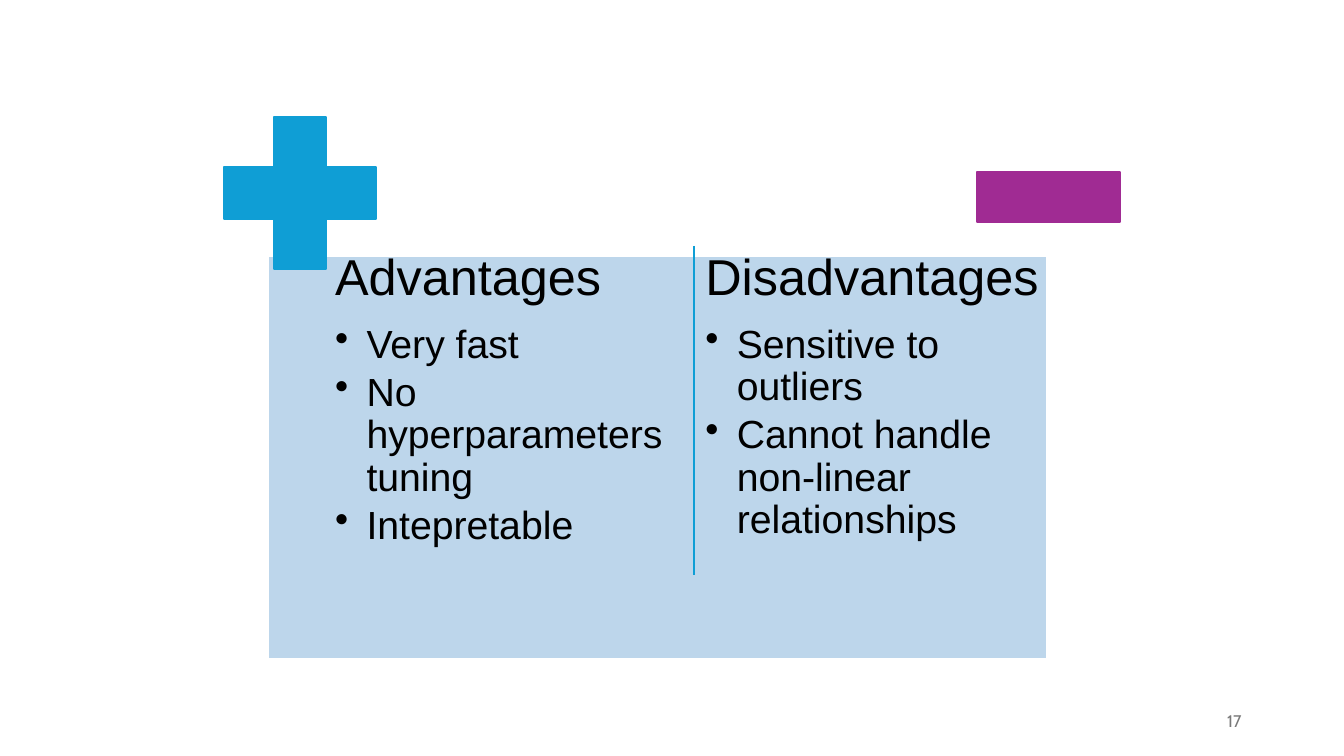
import pptx
import pptx.util
import pptx.dml.color
import pptx.enum.shapes
import pptx.enum.text
import pptx.oxml.ns
from lxml import etree

Pt = pptx.util.Pt
Kind = pptx.enum.shapes.MSO_SHAPE

LISTS = [
    ("Advantages", ["Very fast", "No hyperparameters tuning", "Intepretable"]),
    ("Disadvantages", ["Sensitive to outliers",
                       "Cannot handle non-linear relationships"]),
]
PAGE = "17"


class Theme:
    panel = "BDD6EB"
    white = "FFFFFF"
    plus = "0F9ED5"
    minus = "A02B93"
    text = "000000"
    muted = "797979"
    font = "Arial"
    small = "Cabin"
    head = 36
    body = 28
    page = 12
    line = 1.5


LEFT, TOP, WIDE, HIGH = 234, 175, 258.5, 246
STEP = 264.5
INSET = 5.3
INDENT = 22.5


def color(code):
    return pptx.dml.color.RGBColor.from_string(code)


def style(item, name, size, code):
    item.font.name = name
    item.font.size = Pt(size)
    item.font.color.rgb = color(code)


def block(slide, kind, box, fill, edge):
    shape = slide.shapes.add_shape(kind, *map(Pt, box))
    shape.shadow.inherit = False
    shape.fill.solid()
    shape.fill.fore_color.rgb = color(fill)
    shape.line.color.rgb = color(edge)
    shape.line.width = Pt(Theme.line)
    return shape


def bullet(para):
    props = para._p.get_or_add_pPr()
    props.set("marL", str(Pt(INDENT)))
    props.set("indent", str(-Pt(INDENT)))
    mark = etree.SubElement(props, pptx.oxml.ns.qn("a:buChar"))
    mark.set("char", "•")


def column(slide, left, head, points):
    frame = slide.shapes.add_textbox(*map(Pt, (left, TOP, WIDE, HIGH))).text_frame
    frame.word_wrap = True
    frame.margin_left = frame.margin_right = Pt(INSET)
    frame.margin_top = frame.margin_bottom = Pt(INSET)
    frame.text = "\n".join([head] + points)
    for rank, para in enumerate(frame.paragraphs):
        size, gap = (Theme.body, 0.15) if rank else (Theme.head, 0.35)
        if rank:
            para.level = 1
            bullet(para)
        para.line_spacing = 0.9
        para.space_after = Pt(round(size * gap, 1))
        style(para, Theme.font, size, Theme.text)


def rule(slide, x, top, end):
    line = slide.shapes.add_connector(
        pptx.enum.shapes.MSO_CONNECTOR.STRAIGHT, Pt(x), Pt(top), Pt(x), Pt(end))
    line.line.color.rgb = color(Theme.plus)
    line.line.width = Pt(Theme.line)
    etree.SubElement(line._element.spPr, pptx.oxml.ns.qn("a:effectLst"))


def number(slide):
    frame = slide.shapes.add_textbox(Pt(678), Pt(500.5), Pt(216), Pt(28.8)).text_frame
    frame.word_wrap = True
    frame.vertical_anchor = pptx.enum.text.MSO_ANCHOR.MIDDLE
    para = frame.paragraphs[0]
    para.text = PAGE
    para.alignment = pptx.enum.text.PP_ALIGN.RIGHT
    style(para, Theme.small, Theme.page, Theme.muted)


def main():
    deck = pptx.Presentation()
    deck.slide_width, deck.slide_height = Pt(960), Pt(540)
    slide = deck.slides.add_slide(deck.slide_layouts[6])
    number(slide)
    block(slide, Kind.RECTANGLE, (191.5, 182.5, 556.5, 288),
          Theme.panel, Theme.white)
    for rank, (head, points) in enumerate(LISTS):
        column(slide, LEFT + rank * STEP, head, points)
    plus = block(slide, Kind.CROSS, (160, 83.5, 108.5, 108.5),
                 Theme.plus, Theme.plus)
    plus.adjustments[0] = 0.328
    block(slide, Kind.RECTANGLE, (697.7, 123, 102.2, 35.3),
          Theme.minus, Theme.minus)
    rule(slide, 496, 175.7, 410.4)
    deck.save("out.pptx")


if __name__ == "__main__":
    main()
